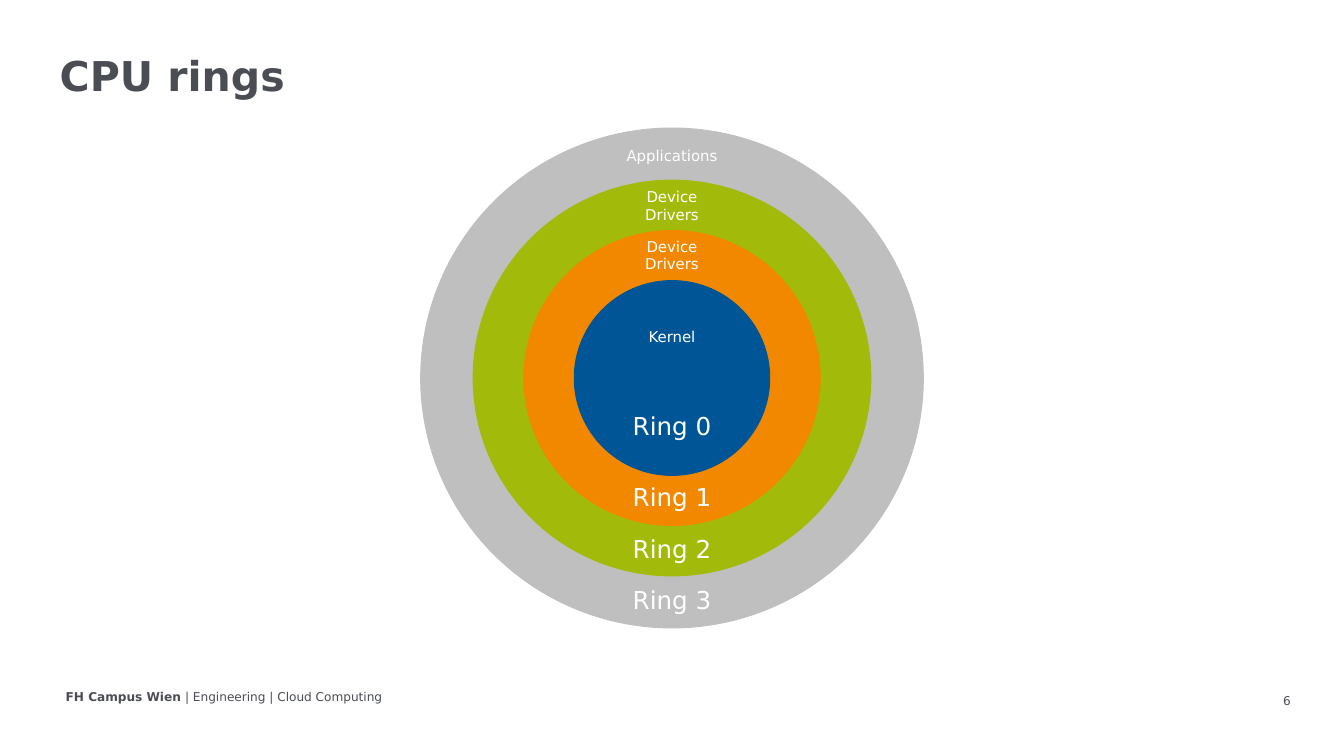
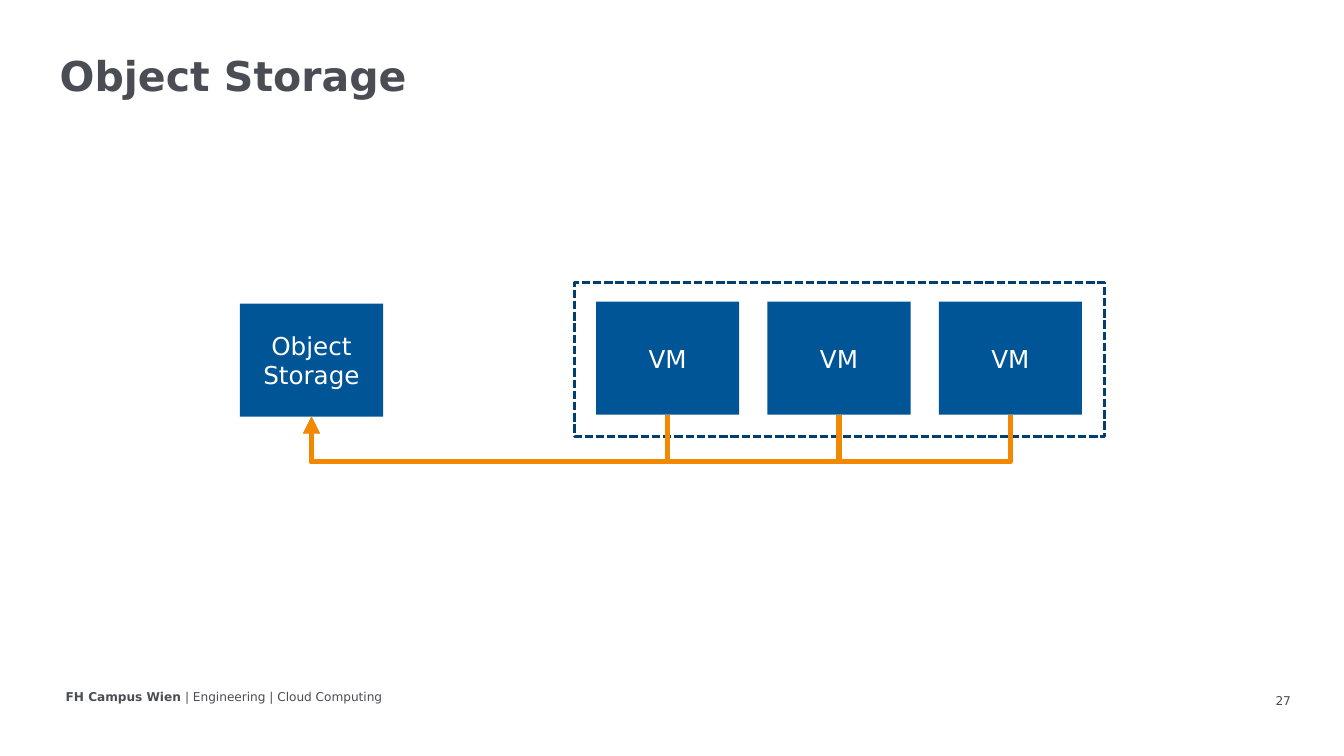
from dataclasses import dataclass

from pptx import Presentation
from pptx.dml.color import RGBColor as Rgb
from pptx.enum.dml import MSO_LINE as Dash
from pptx.enum.shapes import MSO_CONNECTOR as Link, MSO_SHAPE as Preset
from pptx.enum.text import MSO_ANCHOR as Anchor, PP_ALIGN as Align
from pptx.oxml.ns import qn
from pptx.oxml.xmlchemy import OxmlElement
from pptx.util import Inches, Pt


@dataclass(frozen=True)
class Theme:
    """Colours, font and type sizes of the deck."""

    font: str = "DejaVu Sans"
    ink: str = "4A4D53"
    paper: str = "FFFFFF"
    grey: str = "BFBFBF"
    green: str = "A2BB0A"
    orange: str = "F18800"
    blue: str = "005596"
    navy: str = "003F6F"
    title: float = 44
    label: float = 26.4
    caption: float = 16
    footer: float = 13


class Deck:
    """Draws elements on the current slide, placed by grid columns and rows."""

    COLUMNS, ROWS = 20, 11.25

    def __init__(self, theme):
        """Open an empty deck."""
        self.theme = theme
        self.deck = Presentation()
        self.deck.slide_width, self.deck.slide_height = Inches(20.01), Inches(11.25)

    def x(self, columns):
        """Turn columns into a length."""
        return round(self.deck.slide_width * columns / self.COLUMNS)

    def y(self, rows):
        """Turn rows into a length."""
        return round(self.deck.slide_height * rows / self.ROWS)

    def area(self, left, top, width, height):
        """Turn a grid area into slide lengths."""
        return self.x(left), self.y(top), self.x(width), self.y(height)

    def fill_text(self, frame, runs, size, colour, align):
        """Fill a frame's first paragraph with (text, bold) runs."""
        frame.word_wrap = True
        paragraph = frame.paragraphs[0]
        paragraph.alignment = align
        for words, bold in runs:
            run = paragraph.add_run()
            run.text = words
            run.font.name, run.font.size, run.font.bold = self.theme.font, Pt(size), bold
            run.font.color.rgb = Rgb.from_string(colour)

    def text(self, area, runs, size, colour, align=Align.LEFT):
        """Add a text box and return its frame."""
        frame = self.slide.shapes.add_textbox(*self.area(*area)).text_frame
        self.fill_text(frame, runs, size, colour, align)
        return frame

    def page(self, title, number):
        """Start a slide with its title, footer and page number."""
        theme = self.theme
        self.slide = self.deck.slides.add_slide(self.deck.slide_layouts[6])
        heading = self.text((0.79, 0.78, 18.62, 0.77), [(title, True)], theme.title, theme.ink)
        heading.paragraphs[0].line_spacing = 0.9
        self.text((0.88, 10.21, 6.78, 0.32),
                  [("FH Campus Wien ", True), ("| Engineering | Cloud Computing", False)],
                  theme.footer, theme.ink)
        folio = self.text((14.91, 10.21, 4.5, 0.42), [(str(number), False)],
                          theme.footer, theme.ink, Align.RIGHT)
        folio.vertical_anchor = Anchor.MIDDLE
        folio.margin_left = folio.margin_right = Inches(0.2)
        folio.margin_top = folio.margin_bottom = Inches(0.1)

    def shape(self, preset, area, fill=None, line=None, weight=1):
        """Add a flat preset shape."""
        shape = self.slide.shapes.add_shape(preset, *self.area(*area))
        shape.shadow.inherit = False
        for paint, colour in ((shape.fill, fill), (shape.line.fill, line)):
            if colour:
                paint.solid()
                paint.fore_color.rgb = Rgb.from_string(colour)
            else:
                paint.background()
        if line:
            shape.line.width = Pt(weight)
        return shape

    def ring(self, width, height, colour):
        """Add an ellipse centred on the slide."""
        area = (self.COLUMNS - width) / 2, (self.ROWS - height) / 2, width, height
        self.shape(Preset.OVAL, area, colour, colour)

    def ring_text(self, top, height, words, size):
        """Add a white line of text on the slide's vertical axis."""
        width = 1.61
        self.text(((self.COLUMNS - width) / 2, top, width, height), [(words, False)],
                  size, self.theme.paper, Align.CENTER)

    def box(self, left, top, words):
        """Add a labelled blue box."""
        box = self.shape(Preset.RECTANGLE, (left, top, 2.13, 1.68), self.theme.blue)
        box.text_frame.vertical_anchor = Anchor.MIDDLE
        self.fill_text(box.text_frame, [(words, False)], self.theme.label,
                       self.theme.paper, Align.CENTER)
        return box

    def dashed_frame(self, area):
        """Add an unfilled dashed outline."""
        frame = self.shape(Preset.RECTANGLE, area, line=self.theme.navy, weight=3)
        frame.line.dash_style = Dash.SQUARE_DOT

    def elbow_below(self, source, target, drop):
        """Join two bottom sides with an arrow that dips by drop rows."""
        arrow = self.slide.shapes.add_connector(Link.ELBOW, 0, 0, 0, 0)
        arrow.begin_connect(source, 2)
        arrow.end_connect(target, 2)
        span, rise = arrow.begin_x - arrow.end_x, arrow.end_y - arrow.begin_y
        middle_x = (arrow.begin_x + arrow.end_x) // 2
        middle_y = (arrow.begin_y + arrow.end_y) // 2
        arrow.left, arrow.top = middle_x - rise // 2, middle_y - span // 2
        arrow.width, arrow.height = rise, span
        arrow.line.color.rgb = Rgb.from_string(self.theme.orange)
        arrow.line.width = Pt(6)

        properties = arrow._element.spPr
        turn = properties.find(qn("a:xfrm"))
        turn.flipH = turn.flipV = False
        turn.set("rot", "5400000")
        guide = OxmlElement("a:gd")
        guide.set("name", "adj1")
        guide.set("fmla", f"val {round(self.y(drop) / rise * 100000)}")
        properties.find(qn("a:prstGeom")).get_or_add_avLst().append(guide)
        head = OxmlElement("a:tailEnd")
        head.set("type", "triangle")
        properties.find(qn("a:ln")).append(head)
        properties.append(OxmlElement("a:effectLst"))


def cpu_rings(deck):
    """Draw the privilege rings from the outermost to the kernel."""
    theme = deck.theme
    deck.page("CPU rings", 6)
    rings = [
        (7.48, 7.44, theme.grey, "Applications", 2.13, 0.37, "Ring 3", 8.65),
        (5.92, 5.89, theme.green, "Device Drivers", 2.74, 0.64, "Ring 2", 7.9),
        (4.41, 4.39, theme.orange, "Device Drivers", 3.48, 0.64, "Ring 1", 7.12),
        (2.91, 2.9, theme.blue, "Kernel", 4.82, 0.37, "Ring 0", 6.07),
    ]
    for width, height, colour, role, role_top, role_height, level, level_top in rings:
        deck.ring(width, height, colour)
        deck.ring_text(role_top, role_height, role, theme.caption)
        deck.ring_text(level_top, 0.54, level, theme.label)


def object_storage(deck):
    """Draw three machines that share one object store."""
    deck.page("Object Storage", 27)
    deck.dashed_frame((8.55, 4.21, 7.89, 2.29))
    storage = deck.box(3.57, 4.52, "Object Storage")
    machines = [deck.box(8.87 + 2.55 * place, 4.49, "VM") for place in range(3)]
    for machine in machines:
        deck.elbow_below(machine, storage, 0.7)


def main():
    """Build and save both slides."""
    deck = Deck(Theme())
    cpu_rings(deck)
    object_storage(deck)
    deck.deck.save("out.pptx")


if __name__ == "__main__":
    main()
